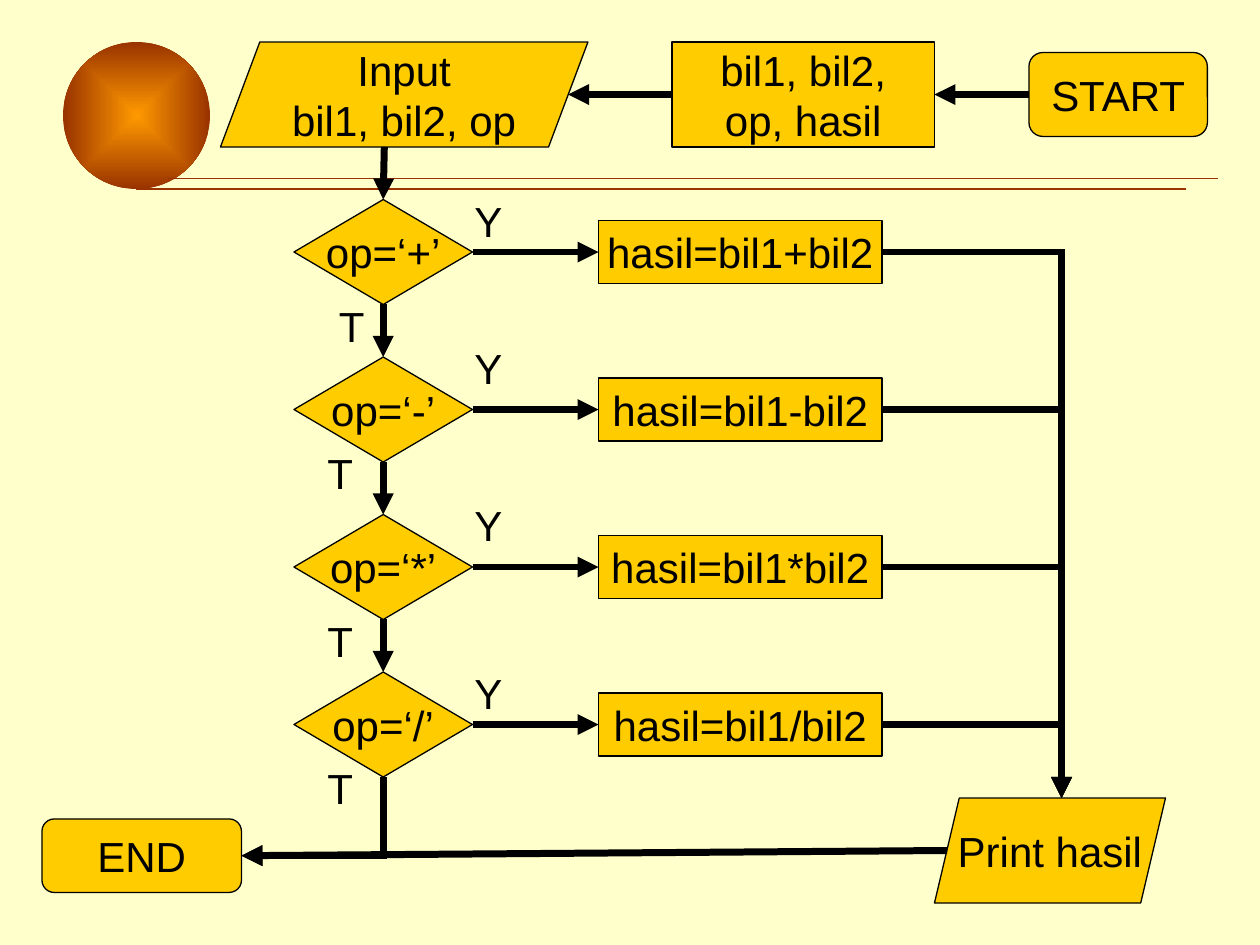
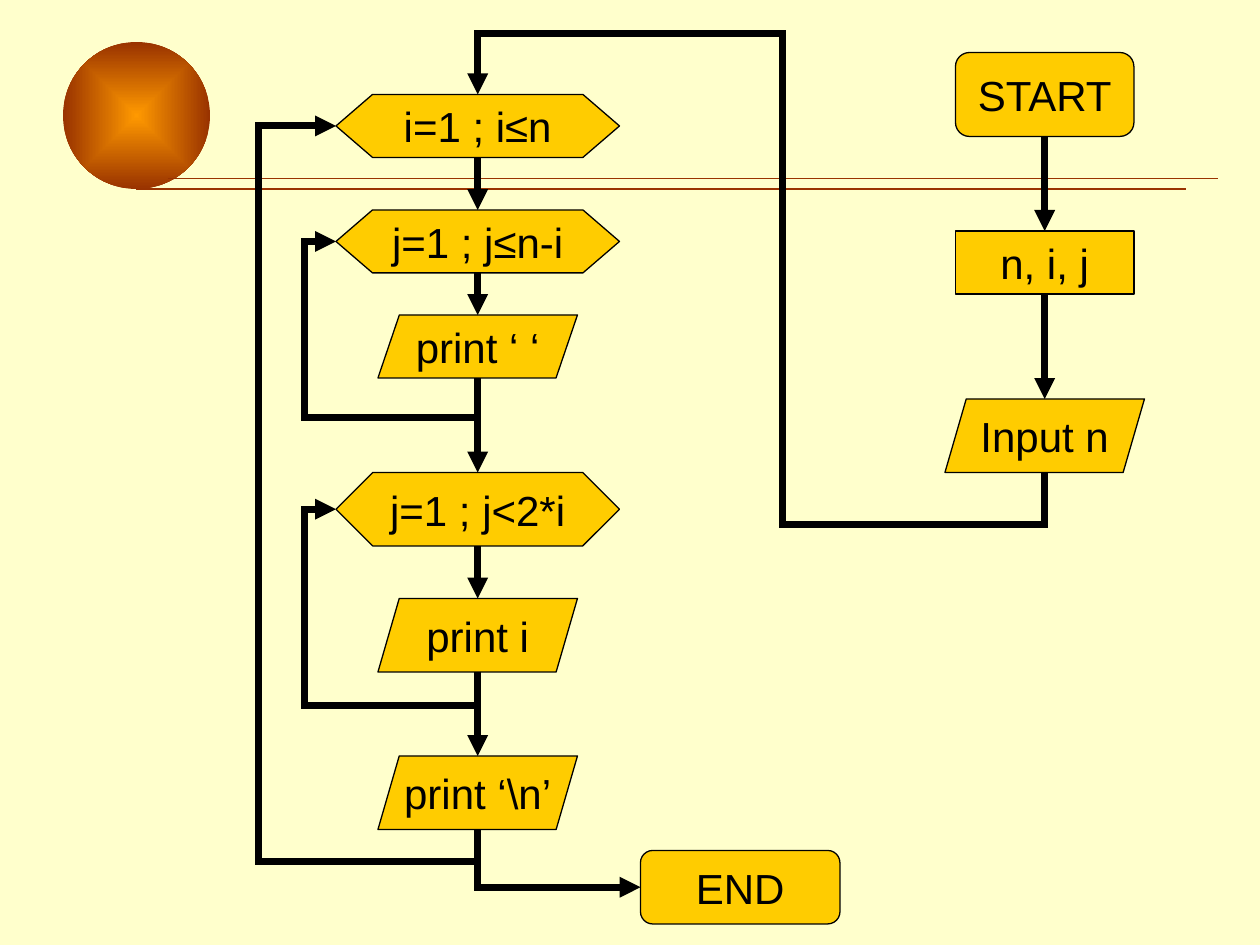
from itertools import cycle

from pptx import Presentation
from pptx.dml.color import RGBColor
from pptx.enum.shapes import MSO_CONNECTOR as LINK, MSO_SHAPE as SHAPE
from pptx.enum.text import MSO_ANCHOR as ANCHOR, MSO_AUTO_SIZE as AUTO, PP_ALIGN as ALIGN
from pptx.oxml import parse_xml
from pptx.oxml.ns import nsdecls, qn
from pptx.util import Pt

PX = 7620
FONT = "Arial"
CREAM, GOLD, BLACK = "FFFFCC", "FFCC00", "000000"
ORANGE, BROWN = "FF9900", "993300"
TOP, LEFT, BOTTOM, RIGHT = range(4)


def px(*values):
    return [round(v * PX) for v in values]


def rgb(color):
    return RGBColor.from_string(color)


def element(xml):
    name = xml.split()[0].strip("</>")
    return parse_xml(xml.replace(name, f"{name} {nsdecls('a')}", 1))


def write(s, text, size=24, color=BLACK, align=ALIGN.CENTER, anchor=ANCHOR.MIDDLE):
    tf = s.text_frame
    tf.word_wrap = False
    tf.vertical_anchor = anchor
    for i, line in enumerate(text.split("\n")):
        p = tf.add_paragraph() if i else tf.paragraphs[0]
        p.alignment = align
        r = p.add_run()
        r.text = line
        r.font.name = FONT
        r.font.size = Pt(size)
        r.font.color.rgb = rgb(color)


def node(slide, kind, text, x, y, w, h, adj=None):
    s = slide.shapes.add_shape(kind, *px(x, y, w, h))
    s.shadow.inherit = False
    s.fill.solid()
    s.fill.fore_color.rgb = rgb(GOLD)
    s.line.color.rgb = rgb(BLACK)
    s.line.width = Pt(0.75)
    if adj is not None:
        s.adjustments[0] = adj
    write(s, text)
    return s


def label(slide, text, x, y):
    s = slide.shapes.add_textbox(*px(x, y, 50, 60))
    write(s, text, align=ALIGN.LEFT, anchor=ANCHOR.TOP)
    s.text_frame.auto_size = AUTO.SHAPE_TO_FIT_TEXT


def style_line(c, color, width, head=False):
    c.line.color.rgb = rgb(color)
    c.line.width = Pt(width)
    if head:
        ln = c.line._get_or_add_ln()
        ln.append(element('<a:miter lim="800000"/>'))
        ln.append(element('<a:tailEnd type="triangle"/>'))
    c.element.spPr.append(element("<a:effectLst />"))


def rule(slide, x, y, length):
    c = slide.shapes.add_connector(LINK.STRAIGHT, *px(x, y, x + length, y))
    style_line(c, BROWN, 0.75)


def arrow(slide, start, stop, begin=None, end=None):
    c = slide.shapes.add_connector(LINK.STRAIGHT, *px(*start, *stop))
    if begin:
        c.begin_connect(*begin)
    if end:
        c.end_connect(*end)
    style_line(c, BLACK, 4, head=True)


def elbow(slide, start, stop, bends=(), vertical=True):
    """Bends give the y, x, y ... of each turn between start and stop."""
    (x1, y1), (x2, y2) = start, stop
    dx, dy = x2 - x1, y2 - y1
    w, h = (abs(dy), abs(dx)) if vertical else (abs(dx), abs(dy))
    c = slide.shapes.add_connector(LINK.ELBOW, 0, 0, 0, 0)
    c.left, c.top, c.width, c.height = px(
        (x1 + x2 - w) / 2, (y1 + y2 - h) / 2, w, h)

    flip_h, flip_v = (dy > 0, dx < 0) if vertical else (dx < 0, dy < 0)
    turn = 270 if vertical else 0
    if flip_h and flip_v:
        flip_h, flip_v, turn = False, False, (turn + 180) % 360
    xfrm = c.element.spPr.find(qn("a:xfrm"))
    for name, value in (("rot", turn * 60000), ("flipH", int(flip_h)), ("flipV", int(flip_v))):
        if value:
            xfrm.set(name, str(value))

    geom = c.element.spPr.find(qn("a:prstGeom"))
    geom.set("prst", f"bentConnector{len(bends) + 2}")
    guides = geom.find(qn("a:avLst"))
    axes = cycle([(y1, dy), (x1, dx)] if vertical else [(x1, dx), (y1, dy)])
    for i, (bend, (origin, span)) in enumerate(zip(bends, axes), 1):
        share = round((bend - origin) / span * 100000)
        guides.append(element(f'<a:gd name="adj{i}" fmla="val {share}"/>'))
    style_line(c, BLACK, 4, head=True)


def ornament(slide):
    s = slide.shapes.add_shape(SHAPE.OVAL, *px(60, 40, 140, 140))
    s.shadow.inherit = False
    s.line.fill.background()
    s.fill.gradient()
    for stop, color in zip(s.fill.gradient_stops, (ORANGE, BROWN)):
        stop.color.rgb = rgb(color)
    grad = s.element.spPr.find(qn("a:gradFill"))
    grad.remove(grad.find(qn("a:lin")))
    grad.append(element('<a:path path="rect"><a:fillToRect l="50000" t="50000" '
                        'r="50000" b="50000"/></a:path>'))
    rule(slide, 130, 180, 1000)
    rule(slide, 160, 170, 1000)


def new_slide(prs):
    slide = prs.slides.add_slide(prs.slide_layouts[6])
    ornament(slide)
    return slide


def calculator(prs):
    slide = new_slide(prs)
    start = node(slide, SHAPE.ROUNDED_RECTANGLE, "START", 980, 50, 170, 80)
    declare = node(slide, SHAPE.RECTANGLE, "bil1, bil2,\nop, hasil", 640, 40, 250, 100)
    finish = node(slide, SHAPE.ROUNDED_RECTANGLE, "END", 40, 780, 190, 70)
    node(slide, SHAPE.PARALLELOGRAM, "Input\nbil1, bil2, op", 210, 40, 350, 100, 0.375)
    arrow(slide, (980, 90), (890, 90), (start, LEFT), (declare, RIGHT))
    arrow(slide, (640, 90), (541, 90), (declare, LEFT))

    previous = None
    for i, op in enumerate("+-*/"):
        y = 240 + 150 * i
        test = node(slide, SHAPE.DIAMOND, f"op=‘{op}’", 280, y - 50, 170, 100)
        result = node(slide, SHAPE.RECTANGLE, f"hasil=bil1{op}bil2", 570, y - 30, 270, 60)
        begin = (previous, BOTTOM) if previous else None
        source = (365, y - 100) if previous else (366, 140)
        arrow(slide, source, (365, y - 50), begin, (test, TOP))
        arrow(slide, (450, y), (570, y), (test, RIGHT), (result, LEFT))
        elbow(slide, (840, y), (1011, 760), vertical=False)
        previous = test

    elbow(slide, (365, 740), (230, 815))
    node(slide, SHAPE.PARALLELOGRAM, "Print hasil", 890, 760, 220, 100, 0.236)
    arrow(slide, (902, 810), (230, 815), end=(finish, RIGHT))
    for y in (180, 320, 470, 630):
        label(slide, "Y", 440, y)
    for x, y in ((311, 280), (300, 420), (300, 580), (300, 720)):
        label(slide, "T", x, y)


def nested_loops(prs):
    slide = new_slide(prs)
    start = node(slide, SHAPE.ROUNDED_RECTANGLE, "START", 910, 50, 170, 80)
    declare = node(slide, SHAPE.RECTANGLE, "n, i, j", 910, 220, 170, 60)
    node(slide, SHAPE.ROUNDED_RECTANGLE, "END", 610, 810, 190, 70)
    node(slide, SHAPE.PARALLELOGRAM, "Input n", 900, 380, 190, 70, 0.29)
    for text, y, h, adj in (("i=1 ; i≤n", 90, 60, 0.58),
                            ("j=1 ; j≤n-i", 200, 60, 0.58),
                            ("j=1 ; j<2*i", 450, 70, 0.5)):
        node(slide, SHAPE.HEXAGON, text, 320, y, 270, h, adj)
    for text, y, h, adj in (("print ‘ ‘", 300, 60, 0.34),
                            ("print i", 570, 70, 0.29),
                            ("print ‘\\n’", 720, 70, 0.29)):
        node(slide, SHAPE.PARALLELOGRAM, text, 360, y, 190, h, adj)

    for y1, y2 in ((150, 200), (260, 300), (360, 450), (520, 570), (640, 720)):
        arrow(slide, (455, y1), (455, y2))
    for y1, y2, bends in ((360, 230, (398, 290)),
                          (640, 485, (672, 290)),
                          (790, 120, (820, 246))):
        elbow(slide, (455, y1), (320, y2), bends)
    elbow(slide, (995, 450), (455, 90), (500, 745, 32))
    elbow(slide, (455, 790), (610, 845))
    arrow(slide, (995, 130), (995, 220), (start, BOTTOM), (declare, TOP))
    arrow(slide, (995, 280), (995, 380), (declare, BOTTOM))


def main():
    prs = Presentation()
    prs.slide_width, prs.slide_height = px(1200, 900)
    fill = prs.slide_master.background.fill
    fill.solid()
    fill.fore_color.rgb = rgb(CREAM)
    calculator(prs)
    nested_loops(prs)
    prs.save("out.pptx")


if __name__ == "__main__":
    main()
